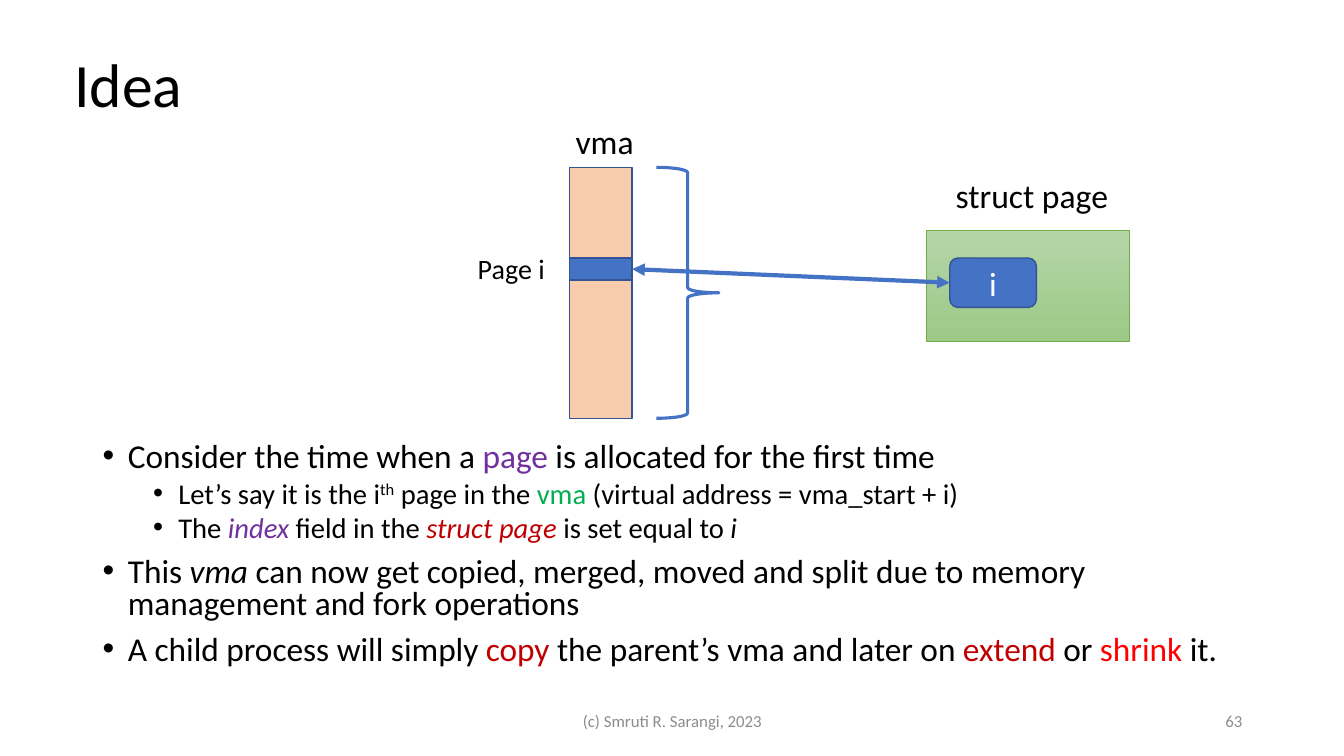
"""Build the slide on how a page's index is set within its vma."""
from lxml import etree
from pptx import Presentation
from pptx import util as u
from pptx.dml.color import RGBColor
from pptx.enum import shapes, text
from pptx.oxml.ns import qn

BLACK = RGBColor(0x00, 0x00, 0x00)
WHITE = RGBColor(0xFF, 0xFF, 0xFF)
GREY = RGBColor(0x8C, 0x8C, 0x8C)
PURPLE = RGBColor(0x70, 0x30, 0xA0)
GREEN = RGBColor(0x00, 0xB0, 0x50)
DARK_RED = RGBColor(0xC0, 0x00, 0x00)
RED = RGBColor(0xFF, 0x00, 0x00)
BLUE = RGBColor(0x44, 0x72, 0xC4)
NAVY = RGBColor(0x32, 0x54, 0x91)
PEACH = RGBColor(0xF8, 0xCB, 0xAD)
LEAF = RGBColor(0x70, 0xAD, 0x47)
LEAF_TOP = RGBColor(0xB5, 0xD5, 0xA7)
LEAF_BOTTOM = RGBColor(0x9C, 0xC9, 0x87)

ITALIC = {"italic": True}
BULLETS = [
    (0, [("Consider the time when a ", {}), ("page", {"color": PURPLE}),
         (" is allocated for the first time", {})]),
    (1, [("Let’s say it is the i", {}), ("th", {"raised": True}), (" page in the ", {}),
         ("vma", {"color": GREEN}), (" (virtual address = vma_start + i)", {})]),
    (1, [("The ", {}), ("index", {"color": PURPLE, "italic": True}), (" field in the ", {}),
         ("struct page ", {"color": DARK_RED, "italic": True}),
         ("is set equal to ", {}), ("i", ITALIC)]),
    (0, [("This ", {}), ("vma", ITALIC),
         (" can now get copied, merged, moved and split due to memory"
          " management and fork operations", {})]),
    (0, [("A child process will simply ", {}), ("copy", {"color": DARK_RED}),
         (" the parent’s vma and later on ", {}), ("extend", {"color": DARK_RED}),
         (" or ", {}), ("shrink", {"color": RED}), (" it.", {})]),
]
LEVELS = [{"size": 23.8, "margin": 0.25, "before": 10},
          {"size": 20.4, "margin": 0.75, "before": 5}]
HANGING = 0.25

LABELS = [
    ((0.64, 0.14, 11.5, 1.45), "Idea",
     {"size": 44, "anchor": text.MSO_ANCHOR.MIDDLE, "spacing": 0.9}),
    ((4.42, 6.95, 4.5, 0.4), "(c) Smruti R. Sarangi, 2023",
     {"size": 12, "color": GREY, "align": text.PP_ALIGN.CENTER, "anchor": text.MSO_ANCHOR.MIDDLE}),
    ((9.42, 6.95, 3, 0.4), "63",
     {"size": 12, "color": GREY, "align": text.PP_ALIGN.RIGHT, "anchor": text.MSO_ANCHOR.MIDDLE}),
    ((5.61, 1.15, 0.78, 0.5), "vma", {"size": 24, "wrap": False}),
    ((4.64, 2.45, 0.87, 0.44), "Page i", {"size": 20, "wrap": False}),
    ((9.38, 1.69, 1.73, 0.5), "struct page", {"size": 24, "wrap": False}),
]
BODY_BOX = (0.92, 4.35, 11.5, 2.4)
VMA_LEFT, VMA_TOP, VMA_WIDTH, VMA_HEIGHT = 5.65, 1.66, 0.62, 2.49
BRACE_LEFT = 6.51
SLOT_TOP, SLOT_HEIGHT = 2.56, 0.22
STRUCT_BOX = (9.19, 2.29, 2.01, 1.1)
INDEX_BOX = (9.42, SLOT_TOP, 0.86, 0.49)


def inches(box):
    return [u.Inches(value) for value in box]


def add_run(paragraph, content, size=24, color=BLACK, italic=False, raised=False):
    run = paragraph.add_run()
    run.text = content
    run.font.name = "Calibri"
    run.font.size = u.Pt(size)
    run.font.color.rgb = color
    run.font.italic = italic
    if raised:
        run.font._element.set("baseline", "30000")


def write(frame, content, align=text.PP_ALIGN.LEFT, anchor=text.MSO_ANCHOR.TOP,
          wrap=True, spacing=None, **font):
    frame.word_wrap = wrap
    frame.vertical_anchor = anchor
    paragraph = frame.paragraphs[0]
    paragraph.alignment = align
    paragraph.line_spacing = spacing
    add_run(paragraph, content, **font)


def add_bullets(slide):
    frame = slide.shapes.add_textbox(*inches(BODY_BOX)).text_frame
    frame.word_wrap = True
    for number, (level, runs) in enumerate(BULLETS):
        paragraph = frame.add_paragraph() if number else frame.paragraphs[0]
        style = LEVELS[level]
        properties = paragraph._p.get_or_add_pPr()
        properties.set("marL", str(u.Inches(style["margin"])))
        properties.set("indent", str(-u.Inches(HANGING)))
        etree.SubElement(properties, qn("a:buFont")).set("typeface", "Arial")
        etree.SubElement(properties, qn("a:buChar")).set("char", "•")
        paragraph.level = level
        paragraph.line_spacing = 0.8
        if number:
            paragraph.space_before = u.Pt(style["before"])
        for content, changes in runs:
            add_run(paragraph, content, size=style["size"], **changes)


def add_block(slide, kind, box, fill=None, line=NAVY, width=1):
    shape = slide.shapes.add_shape(kind, *inches(box))
    shape.shadow.inherit = False
    if fill is None:
        shape.fill.background()
    else:
        shape.fill.solid()
        shape.fill.fore_color.rgb = fill
    shape.line.color.rgb = line
    shape.line.width = u.Pt(width)
    return shape


def add_double_arrow(slide, start, end):
    arrow = slide.shapes.add_connector(shapes.MSO_CONNECTOR.STRAIGHT, 0, 0, 0, 0)
    arrow.begin_connect(start, 3)
    arrow.end_connect(end, 1)
    arrow.line.color.rgb = BLUE
    arrow.line.width = u.Pt(3)
    for tag in ("a:headEnd", "a:tailEnd"):
        etree.SubElement(arrow.line._get_or_add_ln(), qn(tag)).set("type", "triangle")
    etree.SubElement(arrow._element.spPr, qn("a:effectLst"))


def add_diagram(slide):
    kinds = shapes.MSO_SHAPE
    add_block(slide, kinds.RIGHT_BRACE, (BRACE_LEFT, VMA_TOP, VMA_WIDTH, VMA_HEIGHT),
              line=BLUE, width=2.25)
    add_block(slide, kinds.RECTANGLE, (VMA_LEFT, VMA_TOP, VMA_WIDTH, VMA_HEIGHT), PEACH)
    page_slot = add_block(slide, kinds.RECTANGLE,
                          (VMA_LEFT, SLOT_TOP, VMA_WIDTH, SLOT_HEIGHT), BLUE)
    struct_page = add_block(slide, kinds.RECTANGLE, STRUCT_BOX, line=LEAF, width=0.5)
    struct_page.fill.gradient()
    struct_page.fill.gradient_angle = 270
    for stop, color in zip(struct_page.fill.gradient_stops, (LEAF_TOP, LEAF_BOTTOM)):
        stop.color.rgb = color
    index_field = add_block(slide, kinds.ROUNDED_RECTANGLE, INDEX_BOX, BLUE)
    write(index_field.text_frame, "i", align=text.PP_ALIGN.CENTER,
          anchor=text.MSO_ANCHOR.MIDDLE, color=WHITE)
    add_double_arrow(slide, page_slot, index_field)


def main():
    presentation = Presentation()
    presentation.slide_width = u.Inches(13.33)
    presentation.slide_height = u.Inches(7.5)
    slide = presentation.slides.add_slide(presentation.slide_layouts[6])
    add_bullets(slide)
    add_diagram(slide)
    for box, content, style in LABELS:
        write(slide.shapes.add_textbox(*inches(box)).text_frame, content, **style)
    presentation.save("out.pptx")


if __name__ == "__main__":
    main()
